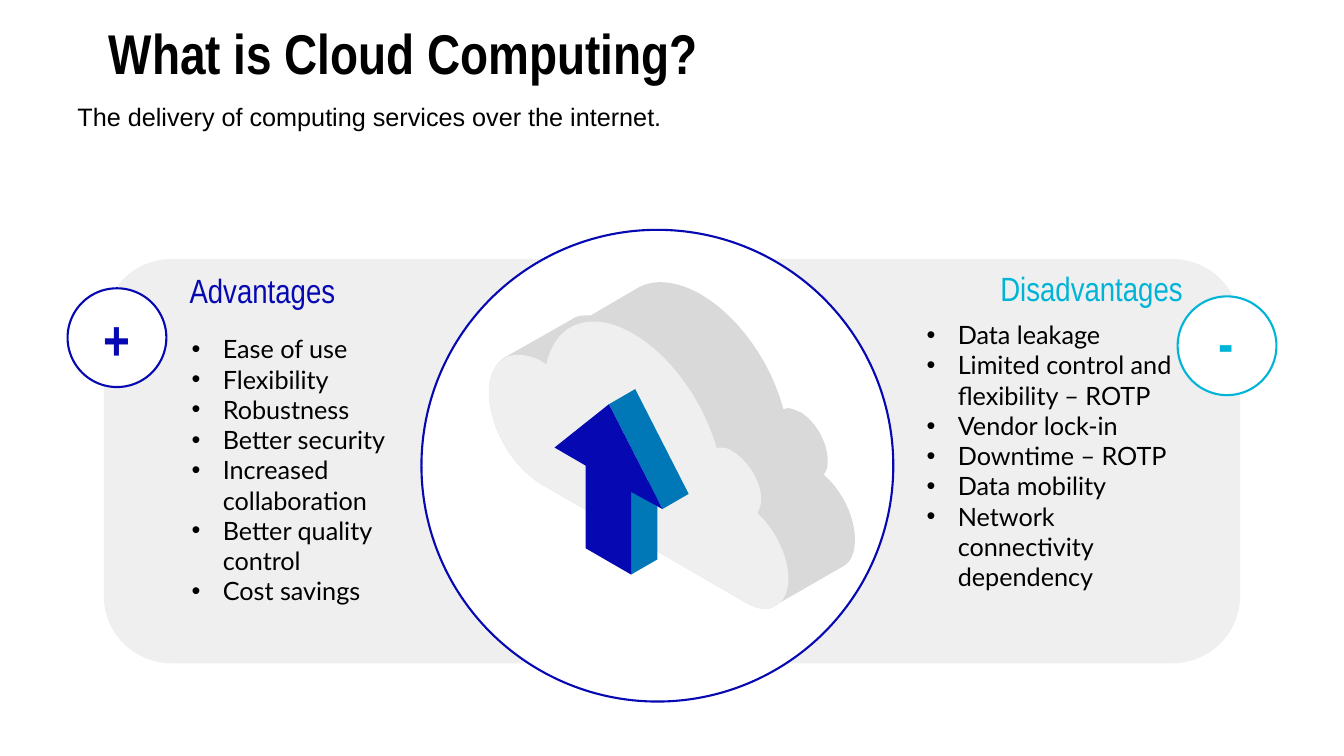
from pptx import Presentation
from pptx.dml.color import RGBColor
from pptx.enum.shapes import MSO_SHAPE as Preset
from pptx.enum.text import MSO_ANCHOR as Anchor, MSO_AUTO_SIZE as AutoSize, PP_ALIGN as Align
from pptx.util import Inches, Pt

BLACK, WHITE = "000000", "FFFFFF"
NAVY, CYAN, BLUE = "0608B2", "00B4D8", "0077B6"
LIGHT_GREY, MID_GREY = "EFEFEF", "D9D9D9"
INSET = 0.13
INDENT = 0.31
BADGE_SIZE = 0.98
CURVE_STEPS = 12

# Each outline item is a line end (2 numbers) or a Bézier segment (6 numbers).
CLOUD_SIDE = [
    (1.7, 0), (1.62, 0, 1.54, 0.02, 1.47, 0.06), (1.01, 0.33),
    (0.99, 0.33, 0.97, 0.33, 0.96, 0.33), (0.91, 0.33, 0.86, 0.34, 0.82, 0.37),
    (0.15, 0.75), (0.06, 0.81, 0, 0.93, 0, 1.09),
    (0, 1.43, 0.23, 1.84, 0.53, 2.01), (2.55, 3.18),
    (2.62, 3.22, 2.68, 3.24, 2.74, 3.24), (2.78, 3.24, 2.82, 3.23, 2.85, 3.2),
    (3.51, 2.82), (3.59, 2.78, 3.63, 2.68, 3.63, 2.55),
    (3.63, 2.33, 3.5, 2.06, 3.32, 1.91), (3.35, 1.87, 3.36, 1.83, 3.36, 1.77),
    (3.36, 1.59, 3.24, 1.38, 3.09, 1.29), (3.04, 1.27, 3, 1.25, 2.96, 1.25),
    (2.95, 1.25, 2.94, 1.26, 2.92, 1.26), (2.8, 0.8, 2.48, 0.34, 2.1, 0.12),
    (1.96, 0.04, 1.82, 0, 1.7, 0),
]
CLOUD_FRONT = [
    (1.04, 0.39), (0.8, 0.39, 0.63, 0.54, 0.57, 0.81),
    (0.56, 0.81, 0.54, 0.8, 0.53, 0.79), (0.45, 0.74, 0.36, 0.72, 0.29, 0.72),
    (0.12, 0.72, 0, 0.85, 0, 1.09), (0, 1.43, 0.23, 1.84, 0.53, 2.01),
    (2.55, 3.18), (2.62, 3.22, 2.68, 3.24, 2.74, 3.24),
    (2.87, 3.24, 2.97, 3.13, 2.97, 2.94), (2.97, 2.72, 2.84, 2.45, 2.66, 2.29),
    (2.68, 2.26, 2.7, 2.21, 2.7, 2.15), (2.7, 1.98, 2.57, 1.77, 2.42, 1.68),
    (2.38, 1.65, 2.34, 1.64, 2.3, 1.64), (2.28, 1.64, 2.27, 1.64, 2.26, 1.65),
    (2.13, 1.19, 1.81, 0.73, 1.43, 0.51), (1.29, 0.43, 1.16, 0.39, 1.04, 0.39),
]
SHAFT_SIDE = [(1.67, 1.92), (1.41, 2.08), (1.41, 2.9), (1.67, 2.75)]
HEAD_SIDE = [(1.45, 1.06), (1.19, 1.21), (1.72, 2.25), (1.98, 2.1)]
ARROW_FACE = [(1.19, 1.21), (0.65, 1.64), (0.96, 1.82), (0.96, 2.64),
              (1.41, 2.9), (1.41, 2.08), (1.72, 2.25)]

ADVANTAGES = ["Ease of use", "Flexibility", "Robustness", "Better security",
              "Increased collaboration", "Better quality control", "Cost savings"]
DISADVANTAGES = ["Data leakage", "Limited control and flexibility – ROTP", "Vendor lock-in",
                 "Downtime – ROTP", "Data mobility", "Network connectivity dependency"]


def color(value):
    return RGBColor.from_string(value)


def paint(shape, fill, line=None):
    shape.shadow.inherit = False
    shape.fill.solid()
    shape.fill.fore_color.rgb = color(fill)
    if line:
        shape.line.color.rgb = color(line)
        shape.line.width = Pt(1.5)
    else:
        shape.line.fill.background()


def add_preset(slide, preset, box, fill, line=None):
    shape = slide.shapes.add_shape(preset, *map(Inches, box))
    paint(shape, fill, line)
    return shape


def add_run(paragraph, text, size, font, shade, bold=False):
    run = paragraph.add_run()
    run.text = text
    run.font.size = Pt(size)
    run.font.name = font
    run.font.bold = bold
    run.font.color.rgb = color(shade)


def set_frame(shape, anchor, inset=INSET):
    frame = shape.text_frame
    frame.word_wrap = True
    frame.auto_size = AutoSize.NONE
    frame.vertical_anchor = anchor
    frame.margin_left = frame.margin_right = Inches(inset)
    frame.margin_top = frame.margin_bottom = Inches(inset)
    return frame


def add_label(slide, box, text, size, shade, align, bold=False):
    shape = slide.shapes.add_textbox(*map(Inches, box))
    paragraph = set_frame(shape, Anchor.MIDDLE).paragraphs[0]
    paragraph.alignment = align
    add_run(paragraph, text, size, "Arial Narrow", shade, bold)


def move_to_front(slide, shape, box):
    shape.left, shape.top, shape.width, shape.height = map(Inches, box)
    slide.shapes.element.append(shape.element)


def outline_points(outline):
    points = [outline[0]]
    for segment in outline[1:]:
        if len(segment) == 2:
            points.append(segment)
            continue
        start, first, second, end = points[-1], segment[:2], segment[2:4], segment[4:]
        for step in range(1, CURVE_STEPS + 1):
            t = step / CURVE_STEPS
            u = 1 - t
            points.append(tuple(
                u**3 * a + 3 * u * u * t * b + 3 * u * t * t * c + t**3 * d
                for a, b, c, d in zip(start, first, second, end)))
    return points


def add_outline(slide, left, top, outline, fill):
    points = [(Inches(left + x), Inches(top + y)) for x, y in outline_points(outline)]
    builder = slide.shapes.build_freeform(*points[0])
    builder.add_line_segments(points[1:], close=True)
    paint(builder.convert_to_shape(), fill)


def add_heading(slide, left, top):
    title = slide.shapes.title
    move_to_front(slide, title, (left, top, 8.98, 0.7))
    paragraph = set_frame(title, Anchor.MIDDLE).paragraphs[0]
    paragraph.alignment = Align.CENTER
    add_run(paragraph, "What is Cloud Computing?", 40, "Arial Narrow", BLACK, True)

    subtitle = slide.shapes.add_textbox(
        *map(Inches, (left + 1.16, top + 0.79, 6.26, 0.4)))
    frame = set_frame(subtitle, Anchor.TOP, 0.1)
    frame.margin_top = frame.margin_bottom = Inches(0.05)
    frame.auto_size = AutoSize.SHAPE_TO_FIT_TEXT
    add_run(frame.paragraphs[0], "The delivery of computing services over the internet.",
            18, "Arial", BLACK)


def add_cloud_circle(slide, left, top, size):
    add_preset(slide, Preset.OVAL, (left, top, size, size), WHITE, NAVY)
    for outline, fill in ((CLOUD_SIDE, MID_GREY), (CLOUD_FRONT, LIGHT_GREY),
                          (SHAFT_SIDE, BLUE), (HEAD_SIDE, BLUE), (ARROW_FACE, NAVY)):
        add_outline(slide, left + 0.67, top + 0.52, outline, fill)


def add_badge(slide, left, top, sign, sign_top, shade):
    add_preset(slide, Preset.OVAL, (left, top, BADGE_SIZE, BADGE_SIZE), WHITE, shade)
    add_label(slide, (left + 0.08, top + sign_top, 0.81, 0.64),
              sign, 40, shade, Align.CENTER, True)


def add_list(slide, placeholder, box, anchor, items):
    move_to_front(slide, placeholder, box)
    frame = set_frame(placeholder, anchor)
    for index, item in enumerate(items):
        paragraph = frame.add_paragraph() if index else frame.paragraphs[0]
        paragraph.space_before = Pt(0)
        properties = paragraph._p.get_or_add_pPr()
        properties.set("marL", str(Inches(INDENT)))
        properties.set("indent", str(-Inches(INDENT)))
        add_run(paragraph, item, 18, "Lato", BLACK)


def add_comparison(slide, left, top, width, height):
    panel = add_preset(slide, Preset.ROUNDED_RECTANGLE, (left, top, width, height), LIGHT_GREY)
    panel.adjustments[0] = 0.167
    right = left + width
    add_cloud_circle(slide, left + 3.15, top - 0.29, 4.68)

    advantages, disadvantages = list(slide.placeholders)[1:]
    add_badge(slide, left - 0.36, top + 0.29, "+", 0.17, NAVY)
    add_label(slide, (left + 0.72, top + 0.12, 2.29, 0.38), "Advantages", 24, NAVY, Align.LEFT)
    add_list(slide, advantages, (left + 0.74, top + 0.61, 2.57, 0.98), Anchor.TOP, ADVANTAGES)

    add_badge(slide, right - 0.62, top + 0.37, "-", 0.12, CYAN)
    add_label(slide, (right - 3.01, top + 0.12, 2.57, 0.34),
              "Disadvantages", 24, CYAN, Align.RIGHT)
    add_list(slide, disadvantages, (right - 3.24, top + 1.33, 2.9, 1.24),
             Anchor.MIDDLE, DISADVANTAGES)


def main():
    presentation = Presentation()
    presentation.slide_width = Inches(13.33)
    presentation.slide_height = Inches(7.5)
    slide = presentation.slides.add_slide(presentation.slide_layouts[3])
    add_comparison(slide, 1.03, 2.57, 11.27, 4.01)
    add_heading(slide, -0.49, 0.17)
    presentation.save("out.pptx")


if __name__ == "__main__":
    main()
